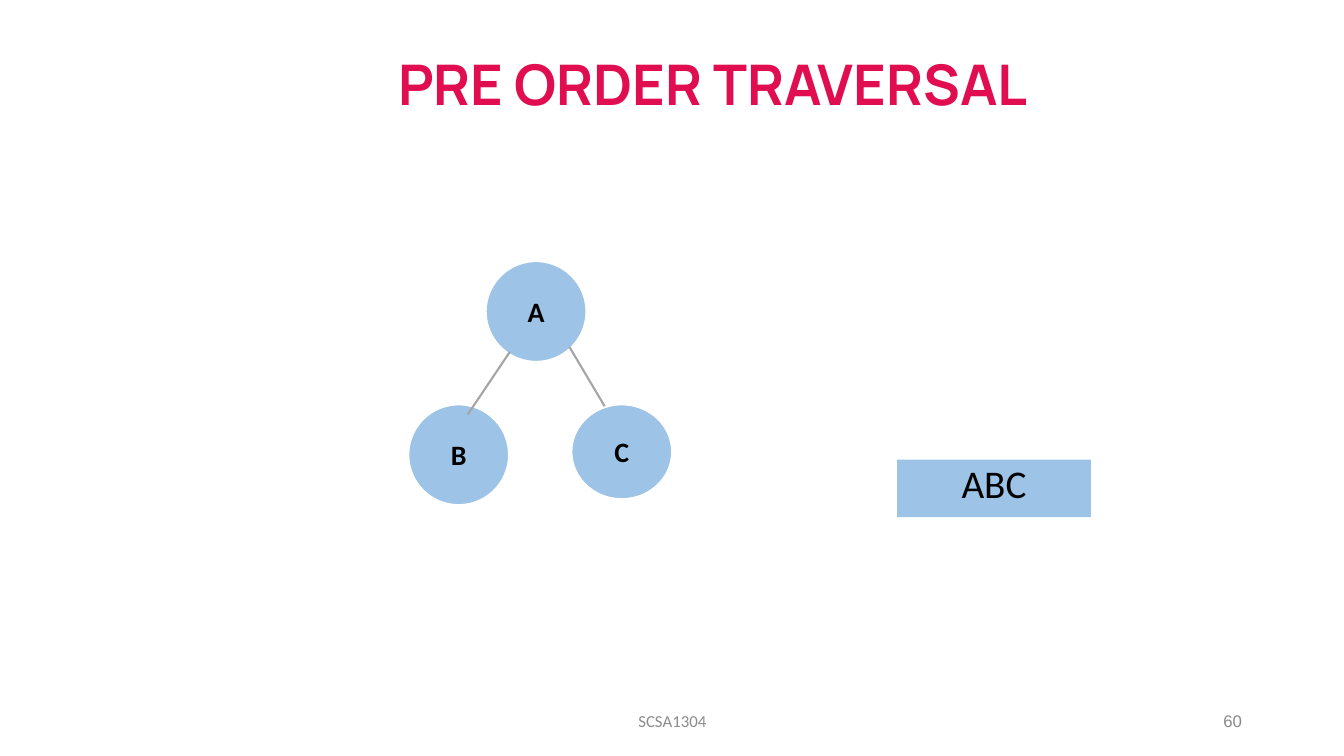
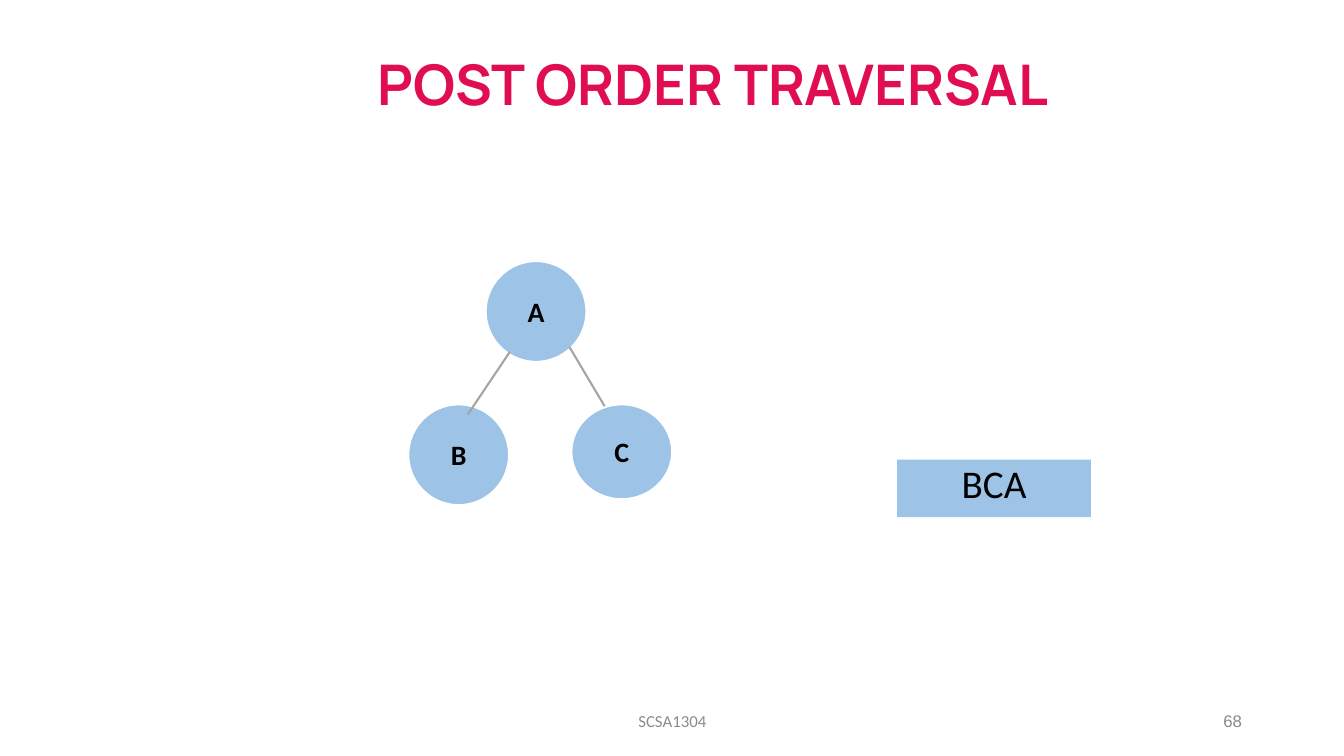
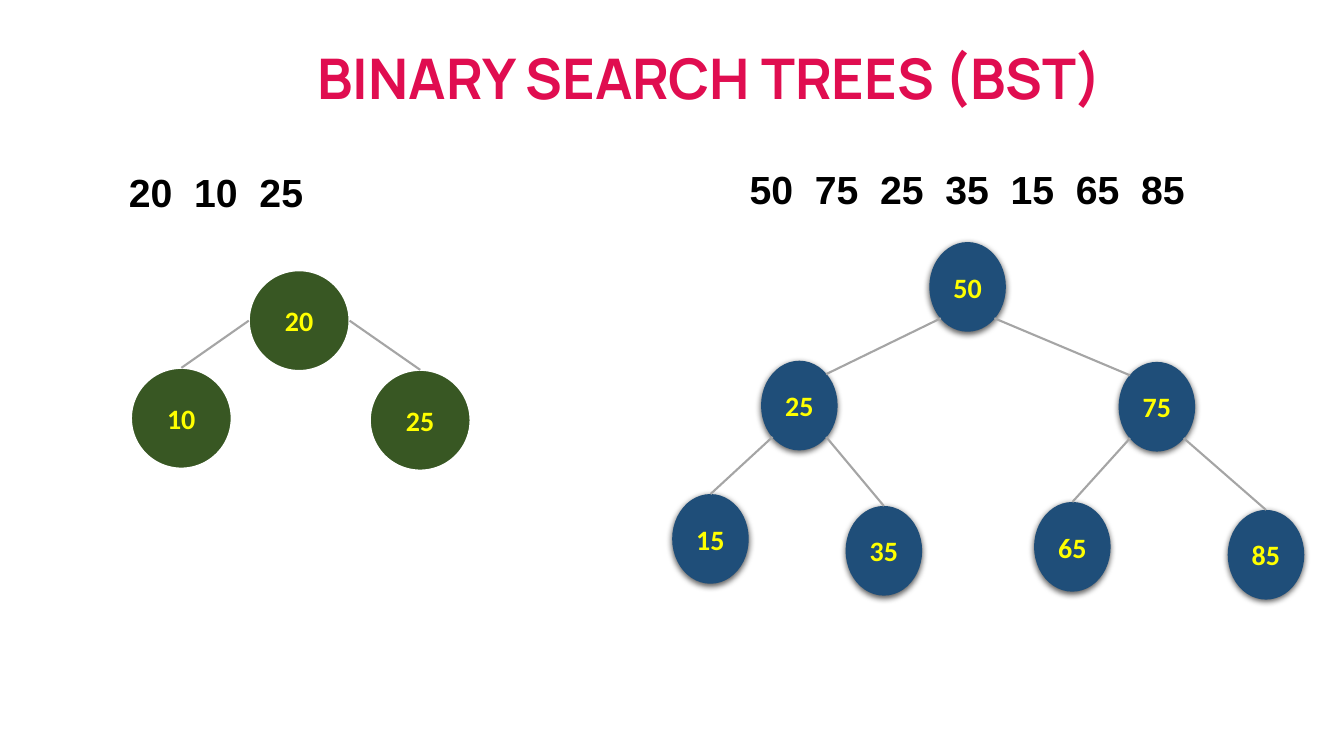
from dataclasses import dataclass
from lxml.etree import SubElement as Sub
from pptx import Presentation
from pptx.dml.color import RGBColor as Rgb
from pptx.enum.shapes import MSO_CONNECTOR as Link, MSO_SHAPE as Form
from pptx.enum.text import MSO_ANCHOR as Anchor, PP_ALIGN as Align
from pptx.oxml.ns import qn
from pptx.util import Cm, Pt


@dataclass(frozen=True)
class Theme:
    # Colours
    title: str = "E00D50"
    sky: str = "9DC3E6"
    moss: str = "385723"
    navy: str = "1F4E79"
    sun: str = "FFFF00"
    ink: str = "000000"
    rim: str = "FFFFFF"
    edge: str = "A5A5A5"
    code: str = "8C8C8C"
    page: str = "898989"
    # Fonts
    head: str = "Manrope"
    body: str = "Calibri"
    plain: str = "Arial"
    # Sizes in points
    big: int = 40
    mid: int = 28
    node: int = 20
    foot: int = 12
    line: float = 1.5


# Points on an oval, as shares of its width and height
TOP, LEFT, RIGHT = (0.5, 0), (0, 0.5), (1, 0.5)
NEAR, FAR = 0.15, 0.85
LOW_L, LOW_R = (NEAR, FAR), (FAR, FAR)
UP_L, UP_R = (NEAR, NEAR), (FAR, NEAR)


class Deck:
    def __init__(self, theme):
        self.theme = theme
        self.file = Presentation()
        self.file.slide_width, self.file.slide_height = Cm(33.87), Cm(19.05)
        self.slide = None

    def start(self):
        self.slide = self.file.slides.add_slide(self.file.slide_layouts[6])

    def letter(self, shape, text, font, size, color, bold=False,
               align=Align.CENTER, anchor=Anchor.MIDDLE, space=1.0):
        frame = shape.text_frame
        frame.text = text
        frame.word_wrap = True
        frame.vertical_anchor = anchor
        para = frame.paragraphs[0]
        para.alignment, para.line_spacing = align, space
        style = para.runs[0].font
        style.name, style.size, style.bold = font, Pt(size), bold
        style.color.rgb = Rgb.from_string(color)

    def label(self, text, box, *look, **more):
        shape = self.slide.shapes.add_textbox(*map(Cm, box))
        self.letter(shape, text, *look, **more)

    def title(self, text, box, **more):
        look = self.theme
        self.label(text, box, look.head, look.big, look.title, True, **more)

    def footer(self, page):
        look = self.theme
        self.label("SCSA1304", (11.23, 17.65, 11.43, 1.02),
                   look.body, look.foot, look.code)
        self.label(page, (23.93, 17.65, 7.62, 1.02),
                   look.plain, look.foot, look.page, align=Align.RIGHT)

    def series(self, text, box):
        look = self.theme
        self.label(text, box, look.plain, look.mid, look.ink, True,
                   align=Align.LEFT, anchor=Anchor.TOP)

    def solid(self, form, box, fill):
        shape = self.slide.shapes.add_shape(form, *map(Cm, box))
        shape.shadow.inherit = False
        shape.fill.solid()
        shape.fill.fore_color.rgb = Rgb.from_string(fill)
        shape.line.fill.background()
        return shape

    def result(self, text):
        look = self.theme
        shape = self.solid(Form.RECTANGLE, (22.61, 11.58, 4.88, 1.45), look.sky)
        self.letter(shape, text, look.body, look.mid, look.ink,
                    anchor=Anchor.TOP, space=0.9)

    def node(self, text, box, fill, color, shade):
        look = self.theme
        shape = self.solid(Form.OVAL, box, fill)
        if shade:
            self.shade(shape)
        else:
            shape.line.color.rgb = Rgb.from_string(look.rim)
            shape.line.width = Pt(look.line)
        self.letter(shape, text, look.body, look.node, color, True)
        # Two digits must fit on one line in the narrow ovals
        shape.text_frame.word_wrap = False
        return shape

    def shade(self, shape):
        effect = shape._element.spPr.find(qn("a:effectLst"))
        outer = Sub(effect, qn("a:outerShdw"), blurRad=str(Pt(4.5)),
                    dist=str(Pt(1.5)), dir="5400000", algn="ctr", rotWithShape="0")
        tone = Sub(outer, qn("a:srgbClr"), val=self.theme.ink)
        Sub(tone, qn("a:alpha"), val="63000")

    def edge(self, head, start, child, end):
        ends = [int(n) for shape, (x, y) in ((head, start), (child, end))
                for n in (shape.left + x * shape.width, shape.top + y * shape.height)]
        line = self.slide.shapes.add_connector(Link.STRAIGHT, *ends)
        if end == TOP:
            line.end_connect(child, 0)
        line.line.color.rgb = Rgb.from_string(self.theme.edge)
        line.line.width = Pt(self.theme.line)
        Sub(line._element.spPr, qn("a:effectLst"))

    def tree(self, nodes, edges, size, fill, color, shade=False):
        """Nodes map a label to left, top and, if it differs, its own size."""
        made = {}
        for text, (x, y, *own) in nodes.items():
            made[text] = self.node(text, (x, y, *(own or size)), fill, color, shade)
        for head, start, child, end in edges:
            self.edge(made[head], start, made[child], end)


def order(deck, name, result, page):
    look = deck.theme
    deck.start()
    deck.title(name, (4.39, 1.02, 27.15, 2.39), space=0.9)
    deck.result(result)
    deck.footer(page)
    deck.tree({"B": (10.29, 10.19), "C": (14.4, 10.19, 2.54, 2.39),
               "A": (12.24, 6.58)},
              [("A", (0.24, 0.9), "B", (0.59, 0.1)),
               ("A", (0.83, 0.85), "C", (0.33, 0.02))],
              (2.54, 2.54), look.sky, look.ink)


def search(deck):
    look = deck.theme
    deck.start()
    deck.title("BINARY SEARCH TREES (BST)", (3.13, 0.97, 29.51, 1.96),
               anchor=Anchor.TOP)
    # Small tree
    deck.series("20  10  25", (3, 4.11, 6.93, 1.45))
    deck.tree({"10": (3.3, 9.27), "25": (9.32, 9.32), "20": (6.27, 6.81)},
              [("20", LEFT, "10", TOP), ("20", RIGHT, "25", TOP)],
              (2.54, 2.54), look.moss, look.sun)
    # Large tree
    deck.series("50  75  25  35  15  65  85", (18.64, 4.04, 13.26, 1.45))
    deck.tree({"50": (23.42, 6.1), "25": (19.18, 9.09), "75": (28.19, 9.12),
               "15": (16.94, 12.45), "35": (21.31, 12.75),
               "65": (26.06, 12.65), "85": (30.94, 12.85)},
              [("50", LOW_L, "25", UP_R), ("50", LOW_R, "75", UP_L),
               ("25", LOW_L, "15", TOP), ("25", LOW_R, "35", TOP),
               ("75", LOW_L, "65", TOP), ("75", LOW_R, "85", TOP)],
              (1.93, 2.26), look.navy, look.sun, shade=True)


def main():
    deck = Deck(Theme())
    order(deck, "PRE ORDER TRAVERSAL", "ABC", "60")
    order(deck, "POST ORDER TRAVERSAL", "BCA", "68")
    search(deck)
    deck.file.save("out.pptx")


if __name__ == "__main__":
    main()
